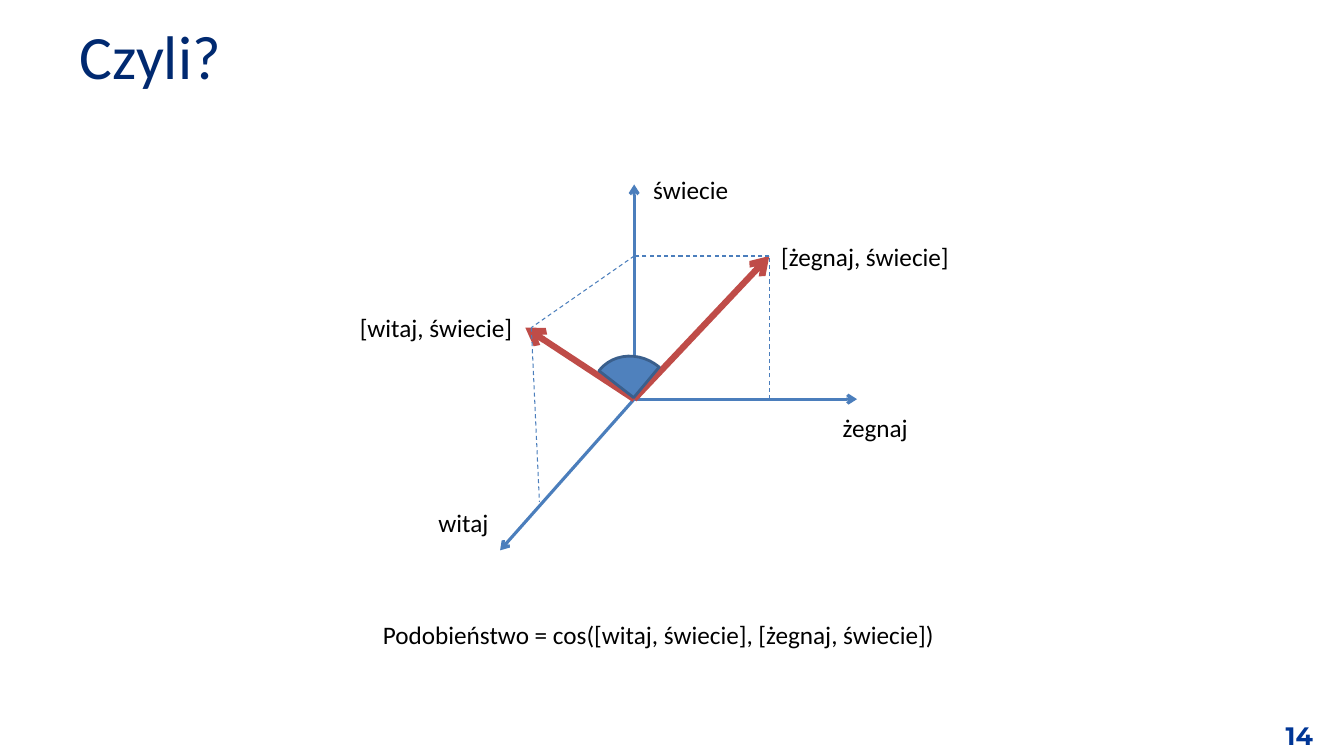
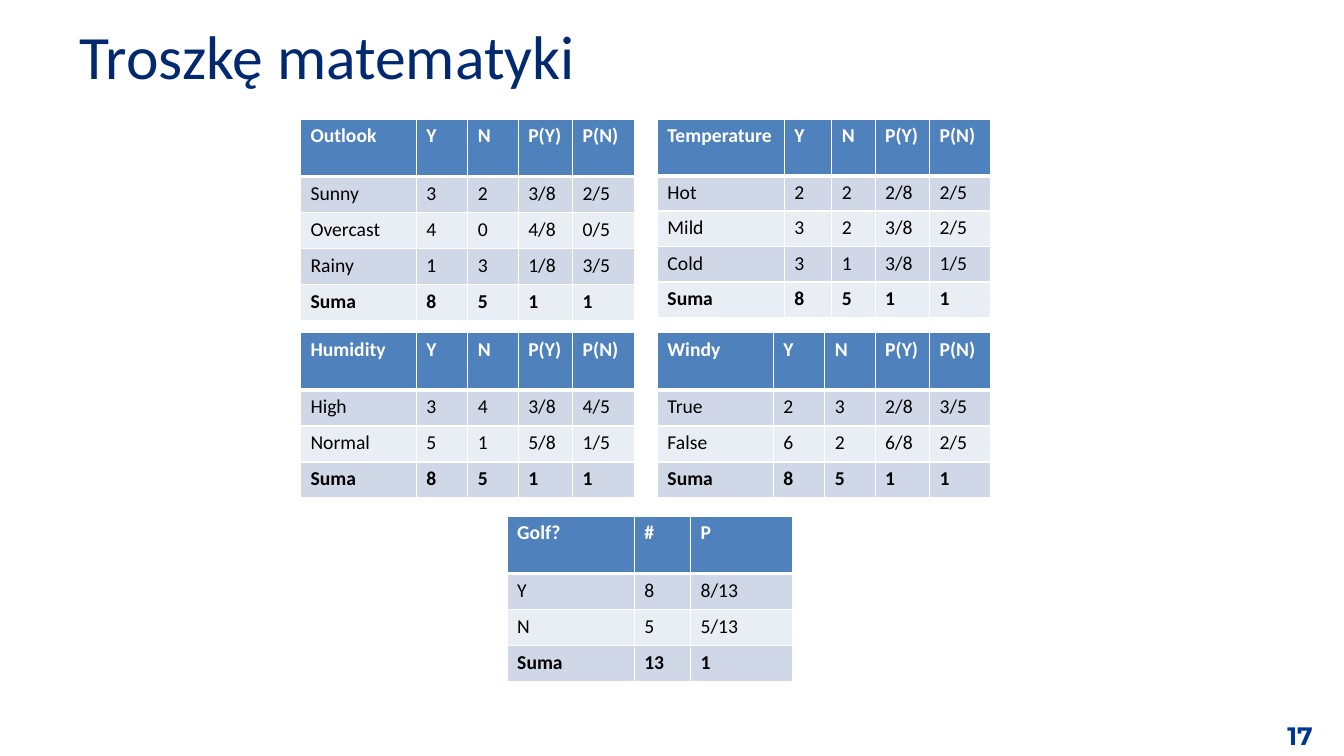
from dataclasses import dataclass
from itertools import pairwise

from lxml.etree import SubElement
from pptx import Presentation
from pptx.dml.color import RGBColor
from pptx.enum.dml import MSO_LINE
from pptx.enum.shapes import MSO_CONNECTOR, MSO_SHAPE
from pptx.enum.text import MSO_ANCHOR, MSO_AUTO_SIZE, PP_ALIGN
from pptx.oxml.ns import qn
from pptx.util import Inches, Pt


@dataclass(frozen=True)
class Theme:
    font: str = "Calibri"
    number_font: str = "Montserrat"
    title: str = "002970"
    number: str = "003696"
    text: str = "000000"
    white: str = "FFFFFF"
    blue: str = "4F81BD"
    blue_edge: str = "3A5F8C"
    axis: str = "4B7EBC"
    vector: str = "BF4C48"
    bands: tuple = ("D0D8E8", "E9EDF4")
    title_size: float = 44
    body_size: float = 18
    table_size: float = 14
    axis_width: float = 2.25
    vector_width: float = 4.5
    guide_width: float = 0.75
    edge_width: float = 2
    grid_width: float = 1
    header_rule: float = 3


THEME = Theme()
SLIDE_SIZE = (13.33, 7.5)

VECTORS = {
    "title": "Czyli?",
    "number": "14",
    "origin": (6.29, 3.96),
    "axes": [(6.29, 1.83), (8.5, 3.96), (4.96, 5.46)],
    "vectors": [(7.63, 2.54), (5.21, 3.25)],
    # dashed guides run through these points in turn
    "projection": [(7.63, 3.96), (7.63, 2.54), (6.29, 2.54), (5.27, 3.25), (5.35, 4.98)],
    "angle": {"box": (5.85, 3.55, 0.87, 0.79), "turn": 39.9, "span": (106.73, 162)},
    "labels": [  # text, left, top, width
        ("świecie", 6.38, 1.68, 0.95),
        ("żegnaj", 8.26, 4.04, 0.86),
        ("witaj", 4.25, 4.98, 0.7),
        ("[witaj, świecie]", 3.47, 3.05, 1.73),
        ("[żegnaj, świecie]", 7.65, 2.34, 1.88),
        ("Podobieństwo = cos([witaj, świecie], [żegnaj, świecie])", 3.7, 6.09, 5.73),
    ],
}

COUNTS = ["Y", "N", "P(Y)", "P(N)"]
COUNTS_TOTAL = ["Suma", "8", "5", "1", "1"]
COUNT_COLUMNS = (1.15, 0.51, 0.5, 0.54, 0.61)
LEFT, RIGHT, CENTRE = 2.98, 6.52, 5.03
TOP, MIDDLE, BOTTOM = 1.18, 3.3, 5.12
TALL, SHORT = 2, 1.64
HEADER_SHARE = 1.6  # header height in body rows

PROBABILITIES = {
    "title": "Troszkę matematyki",
    "number": "17",
    "tables": [  # left, top, height, column widths, rows
        (LEFT, TOP, TALL, COUNT_COLUMNS, [
            ["Outlook", *COUNTS],
            ["Sunny", "3", "2", "3/8", "2/5"],
            ["Overcast", "4", "0", "4/8", "0/5"],
            ["Rainy", "1", "3", "1/8", "3/5"],
            COUNTS_TOTAL]),
        (RIGHT, TOP, 1.97, (1.26, 0.47, 0.43, 0.54, 0.61), [
            ["Temperature", *COUNTS],
            ["Hot", "2", "2", "2/8", "2/5"],
            ["Mild", "3", "2", "3/8", "2/5"],
            ["Cold", "3", "1", "3/8", "1/5"],
            COUNTS_TOTAL]),
        (LEFT, MIDDLE, SHORT, COUNT_COLUMNS, [
            ["Humidity", *COUNTS],
            ["High", "3", "4", "3/8", "4/5"],
            ["Normal", "5", "1", "5/8", "1/5"],
            COUNTS_TOTAL]),
        (RIGHT, MIDDLE, SHORT, COUNT_COLUMNS, [
            ["Windy", *COUNTS],
            ["True", "2", "3", "2/8", "3/5"],
            ["False", "6", "2", "6/8", "2/5"],
            COUNTS_TOTAL]),
        (CENTRE, BOTTOM, SHORT, (1.26, 0.56, 1.01), [
            ["Golf?", "#", "P"],
            ["Y", "8", "8/13"],
            ["N", "5", "5/13"],
            ["Suma", "13", "1"]]),
    ],
}


def rgb(colour):
    return RGBColor.from_string(colour)


def write(frame, text, size, colour, font=THEME.font, bold=False):
    paragraph = frame.paragraphs[0]
    run = paragraph.add_run()
    run.text = text
    run.font.name, run.font.size, run.font.bold = font, Pt(size), bold
    run.font.color.rgb = rgb(colour)
    return paragraph


def add_text_frame(slide, left, top, width, height, wrap=True):
    box = slide.shapes.add_textbox(*map(Inches, (left, top, width, height)))
    box.text_frame.word_wrap = wrap
    return box.text_frame


def add_slide(deck, title, number):
    """Add a blank slide with the shared title and slide number."""
    slide = deck.slides.add_slide(deck.slide_layouts[6])
    heading = add_text_frame(slide, 0.69, 0, 11.5, 1.18)
    heading.vertical_anchor = MSO_ANCHOR.MIDDLE
    write(heading, title, THEME.title_size, THEME.title).line_spacing = 0.9
    corner = add_text_frame(slide, 10.12, 7.1, 3, 0.4)
    corner.vertical_anchor = MSO_ANCHOR.MIDDLE
    write(corner, number, THEME.body_size, THEME.number,
          THEME.number_font, True).alignment = PP_ALIGN.RIGHT
    return slide


def add_line(slide, start, end, colour, width, arrow=False, dashed=False):
    connector = slide.shapes.add_connector(
        MSO_CONNECTOR.STRAIGHT, *map(Inches, (*start, *end)))
    connector.line.color.rgb = rgb(colour)
    connector.line.width = Pt(width)
    if dashed:
        connector.line.dash_style = MSO_LINE.DASH
    properties = connector._element.spPr
    if arrow:
        SubElement(properties.find(qn("a:ln")), qn("a:tailEnd"), type="arrow")
    SubElement(properties, qn("a:effectLst"))


def add_angle(slide, box, turn, span):
    wedge = slide.shapes.add_shape(MSO_SHAPE.PIE, *map(Inches, box))
    wedge.adjustments[0], wedge.adjustments[1] = span
    wedge.rotation = turn
    wedge.shadow.inherit = False
    wedge.fill.solid()
    wedge.fill.fore_color.rgb = rgb(THEME.blue)
    wedge.line.color.rgb = rgb(THEME.blue_edge)
    wedge.line.width = Pt(THEME.edge_width)


def set_borders(cell, top, bottom):
    """Draw white borders; top and bottom are widths in points."""
    widths = {"L": THEME.grid_width, "R": THEME.grid_width, "T": top, "B": bottom}
    for side, width in widths.items():
        border = SubElement(cell._tc.get_or_add_tcPr(), qn(f"a:ln{side}"), w=str(Pt(width)))
        SubElement(SubElement(border, qn("a:solidFill")), qn("a:srgbClr"), val=THEME.white)


def add_table(slide, left, top, height, widths, rows):
    table = slide.shapes.add_table(
        len(rows), len(widths), *map(Inches, (left, top, sum(widths), height))).table
    for column, width in zip(table.columns, widths):
        column.width = Inches(width)
    row_height = height / (HEADER_SHARE + len(rows) - 1)
    for r, values in enumerate(rows):
        header, total = r == 0, r == len(rows) - 1
        table.rows[r].height = Inches(row_height * (HEADER_SHARE if header else 1))
        for c, value in enumerate(values):
            cell = table.cell(r, c)
            set_borders(cell,
                        THEME.header_rule if r == 1 else THEME.grid_width,
                        THEME.header_rule if header else THEME.grid_width)
            cell.fill.solid()
            cell.fill.fore_color.rgb = rgb(THEME.blue if header else THEME.bands[(r - 1) % 2])
            write(cell.text_frame, value, THEME.table_size,
                  THEME.white if header else THEME.text, bold=header or total)


def build_vectors(deck):
    slide = add_slide(deck, VECTORS["title"], VECTORS["number"])
    for tip in VECTORS["axes"]:
        add_line(slide, VECTORS["origin"], tip, THEME.axis, THEME.axis_width, arrow=True)
    for tip in VECTORS["vectors"]:
        add_line(slide, VECTORS["origin"], tip, THEME.vector, THEME.vector_width, arrow=True)
    for start, end in pairwise(VECTORS["projection"]):
        add_line(slide, start, end, THEME.axis, THEME.guide_width, dashed=True)
    add_angle(slide, **VECTORS["angle"])
    for text, left, top, width in VECTORS["labels"]:
        label = add_text_frame(slide, left, top, width, 0.4, wrap=False)
        label.auto_size = MSO_AUTO_SIZE.SHAPE_TO_FIT_TEXT
        write(label, text, THEME.body_size, THEME.text)


def build_probabilities(deck):
    slide = add_slide(deck, PROBABILITIES["title"], PROBABILITIES["number"])
    for table in PROBABILITIES["tables"]:
        add_table(slide, *table)


def main():
    deck = Presentation()
    deck.slide_width, deck.slide_height = map(Inches, SLIDE_SIZE)
    build_vectors(deck)
    build_probabilities(deck)
    deck.save("out.pptx")


if __name__ == "__main__":
    main()
